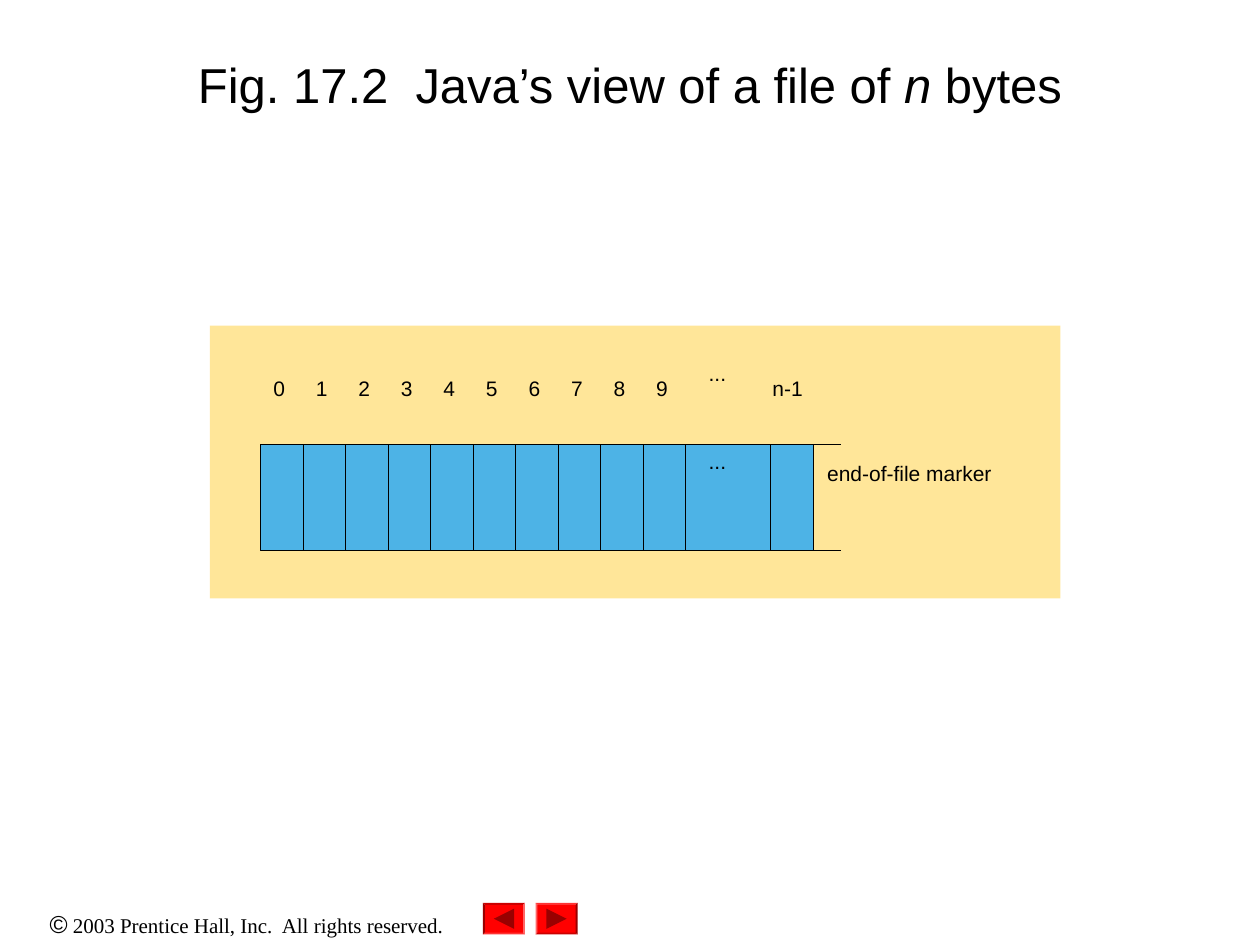
from pptx import Presentation
from pptx.dml.color import RGBColor
from pptx.enum.shapes import MSO_CONNECTOR, MSO_SHAPE
from pptx.enum.text import MSO_ANCHOR, MSO_AUTO_SIZE, PP_ALIGN
from pptx.oxml.ns import qn
from pptx.util import Pt
from lxml import etree

RECTANGLE, BEVEL = MSO_SHAPE.RECTANGLE, MSO_SHAPE.BEVEL
STRAIGHT = MSO_CONNECTOR.STRAIGHT
CENTER, LEFT = PP_ALIGN.CENTER, PP_ALIGN.LEFT
MIDDLE, TOP = MSO_ANCHOR.MIDDLE, MSO_ANCHOR.TOP

COLORS = {
    "text": "000000",
    "panel": "FFE699",
    "bytes": "4DB3E6",
    "button": "FF0000",
    "arrow": "990000",
}
SANS, SERIF = "Arial", "Times New Roman"
HAIRLINE = 0.25


def color(name):
    return RGBColor.from_string(COLORS[name])


def style_shape(shape, fill=None, line=None):
    shape.shadow.inherit = False
    if fill:
        shape.fill.solid()
        shape.fill.fore_color.rgb = color(fill)
    else:
        shape.fill.background()
    if line:
        shape.line.color.rgb = color(line)
        shape.line.width = Pt(HAIRLINE)
    else:
        shape.line.fill.background()


def add_rectangle(slide, left, top, width, height, fill=None, line=None):
    shape = slide.shapes.add_shape(
        RECTANGLE, Pt(left), Pt(top), Pt(width), Pt(height))
    style_shape(shape, fill, line)


def add_run(paragraph, text, size, font_name=SANS, italic=False):
    run = paragraph.add_run()
    run.text = text
    run.font.size = Pt(size)
    run.font.name = font_name
    run.font.italic = italic
    run.font.color.rgb = color("text")


def add_label(slide, text, left, top, width, height=40.3):
    box = slide.shapes.add_textbox(Pt(left), Pt(top), Pt(width), Pt(height))
    frame = box.text_frame
    frame.word_wrap = True
    frame.vertical_anchor = TOP
    frame.margin_left = frame.margin_right = 0
    frame.margin_top = frame.margin_bottom = 0
    paragraph = frame.paragraphs[0]
    paragraph.alignment = LEFT
    paragraph.line_spacing = 0.64
    add_run(paragraph, text, 12)


def add_rule(slide, left, top, length):
    connector = slide.shapes.add_connector(
        STRAIGHT, Pt(left), Pt(top), Pt(left + length), Pt(top))
    connector.line.color.rgb = color("text")
    connector.line.width = Pt(HAIRLINE)
    etree.SubElement(connector._element.spPr, qn("a:effectLst"))


def place_title(slide, left, top, width, height):
    title = slide.shapes.title
    title.left, title.top = Pt(left), Pt(top)
    title.width, title.height = Pt(width), Pt(height)
    frame = title.text_frame
    frame.auto_size = MSO_AUTO_SIZE.NONE
    frame.vertical_anchor = MIDDLE
    paragraph = frame.paragraphs[0]
    paragraph.alignment = CENTER
    add_run(paragraph, "Fig. 17.2  Java’s view of a file of ", 28)
    add_run(paragraph, "n", 28, italic=True)
    add_run(paragraph, " bytes", 28)


def place_file_diagram(slide, left, top, width, height):
    add_rectangle(slide, left, top, width, height, fill="panel")

    # Strip of bytes: ten numbered cells, a double-width gap, the last cell
    unit, strip_height = 24.3, 60.3
    strip_left, strip_top = left + 28.8, top + 68
    cells = [(str(number), 1) for number in range(10)] + [("...", 2), ("n-1", 1)]
    strip_width = unit * sum(span for _, span in cells)
    add_rectangle(slide, strip_left, strip_top, strip_width, strip_height,
                  fill="bytes", line="bytes")

    cell_left = strip_left
    for text, span in cells:
        cell_width = unit * span
        add_rectangle(slide, cell_left, strip_top, cell_width, strip_height,
                      line="text")
        label_width = 9.4 if text.isdigit() else 22.3
        label_left = cell_left + (cell_width - label_width) / 2
        if text == "...":
            add_label(slide, text, label_left, strip_top - 43.2, label_width)
            add_label(slide, text, label_left, strip_top + 7.2, label_width)
        else:
            add_label(slide, text, label_left, strip_top - 34.5, label_width)
        cell_left += cell_width

    # Open end after the last byte
    for rule_top in (strip_top, strip_top + strip_height):
        add_rule(slide, cell_left, rule_top, 16)
    add_label(slide, "end-of-file marker", cell_left + 8, strip_top + 13.7, 119.5)


def place_copyright(slide, left, top, width, height):
    box = slide.shapes.add_textbox(Pt(left), Pt(top), Pt(width), Pt(height))
    box.text_frame.word_wrap = True
    paragraph = box.text_frame.paragraphs[0]
    paragraph.alignment = CENTER
    add_run(paragraph, "©", 14)
    add_run(paragraph, " 2003 Prentice Hall, Inc.  All rights reserved.", 12, SERIF)


def place_button(slide, left, top, width, height, direction):
    button = slide.shapes.add_shape(
        BEVEL, Pt(left), Pt(top), Pt(width), Pt(height))
    button.adjustments[0] = 0.06
    button.rotation = 0 if direction > 0 else 180
    style_shape(button, fill="button")

    # Arrow pointing right (1) or left (-1)
    center_x, center_y, reach = left + width / 2, top + height / 2, 5.8
    back_x, tip_x = center_x - direction * reach, center_x + direction * reach
    builder = slide.shapes.build_freeform(
        Pt(back_x), Pt(center_y - reach), scale=1.0)
    builder.add_line_segments(
        [(Pt(tip_x), Pt(center_y)), (Pt(back_x), Pt(center_y + reach))], close=True)
    style_shape(builder.convert_to_shape(), fill="arrow")


def main():
    presentation = Presentation()
    presentation.slide_width, presentation.slide_height = Pt(720), Pt(540)
    slide = presentation.slides.add_slide(presentation.slide_layouts[5])

    # Footer
    place_copyright(slide, 0, 516, 282, 24.5)
    for left, direction in ((306, 1), (276, -1)):
        place_button(slide, left, 516, 24, 18, direction)

    # Title and diagram
    place_title(slide, 54, 6, 612, 84)
    place_file_diagram(slide, 120, 186, 486, 156)
    presentation.save("out.pptx")


if __name__ == "__main__":
    main()
